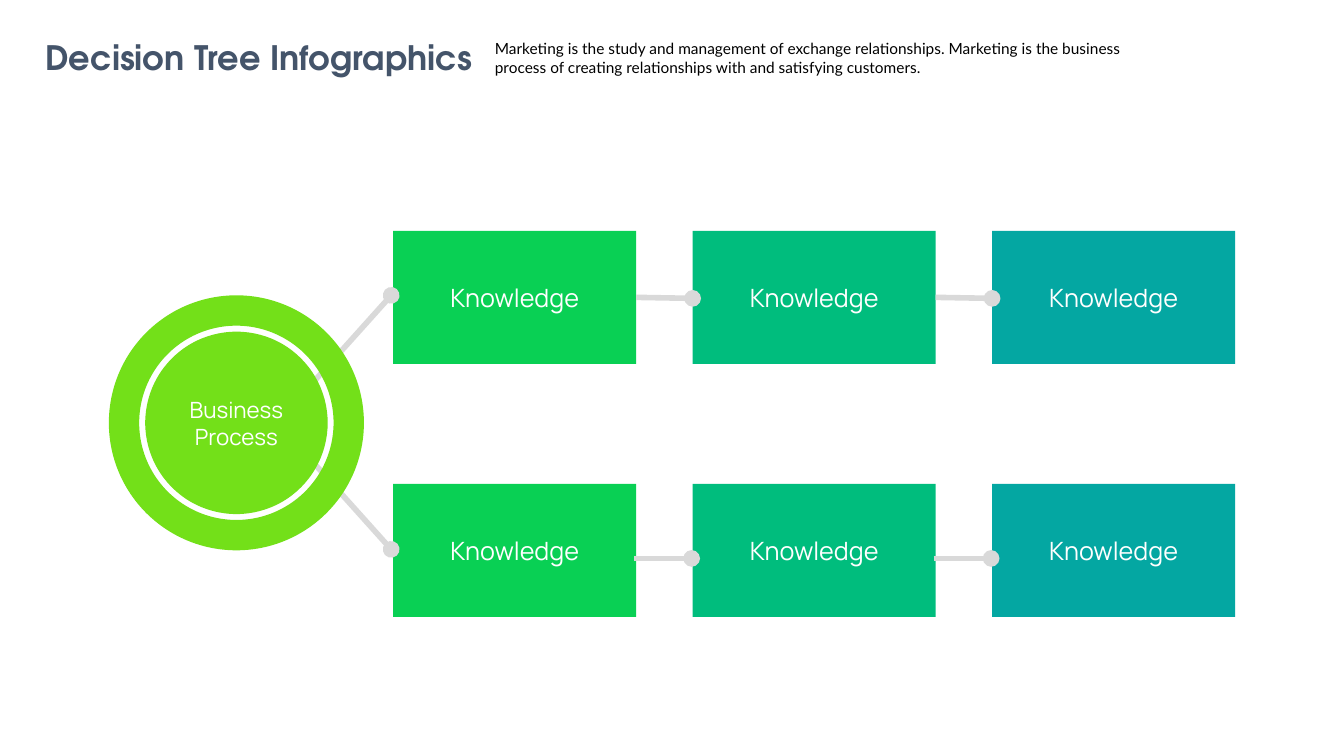
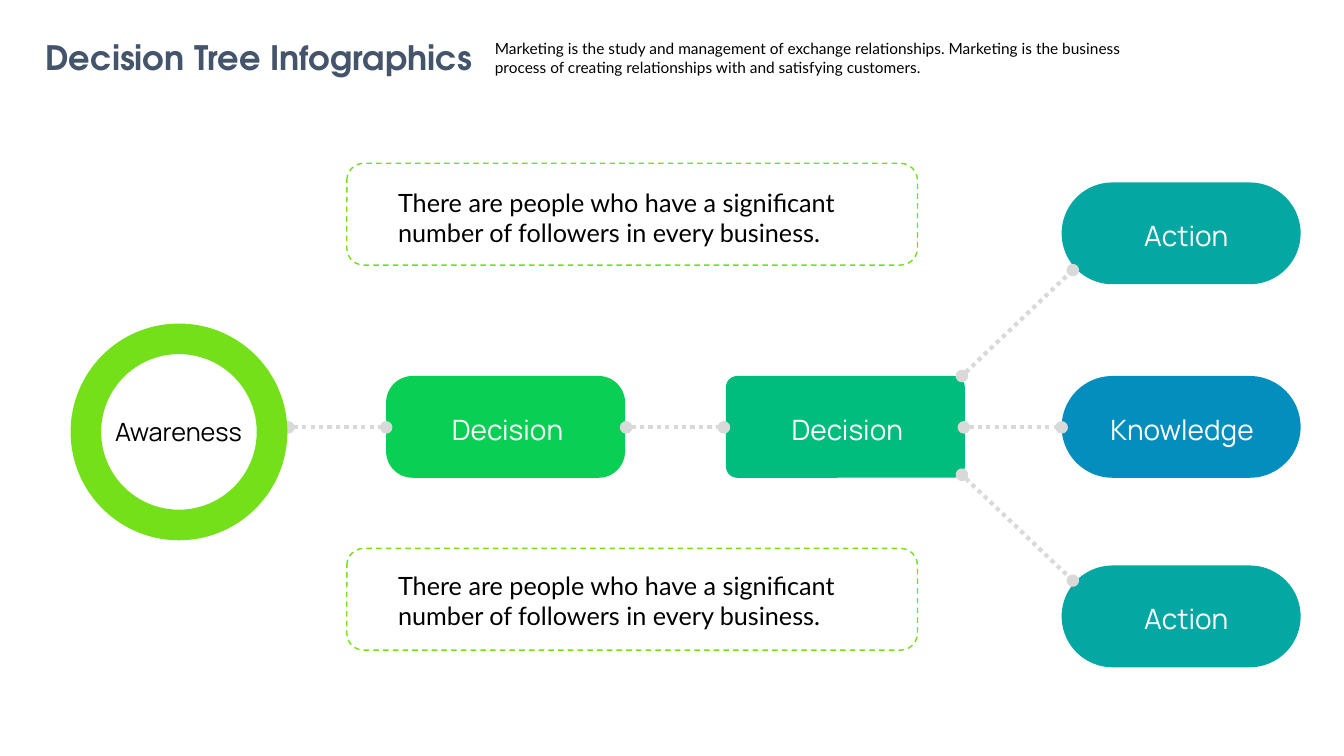
from dataclasses import dataclass

import pptx
import pptx.dml.color
import pptx.enum.dml
import pptx.enum.shapes
import pptx.enum.text
import pptx.oxml.ns
import pptx.util
from lxml import etree

SHAPE = pptx.enum.shapes.MSO_SHAPE
ALIGN = pptx.enum.text.PP_ALIGN
DASH = pptx.enum.dml.MSO_LINE
EMU_PER_PX = 9144  # 100 px to the inch


@dataclass(frozen=True)
class Theme:
    title: str = "44546A"
    ink: str = "000000"
    white: str = "FFFFFF"
    link: str = "D9D9D9"
    lime: str = "73E019"
    green: str = "09D054"
    emerald: str = "00BD7D"
    teal: str = "04A7A2"
    blue: str = "048EBD"
    title_font: str = "TeX Gyre Adventor"
    label_font: str = "Manrope"
    body_font: str = "Lato"
    title_size: int = 24
    intro_size: int = 11
    hub_size: int = 16
    body_size: int = 18
    node_size: int = 20


THEME = Theme()
TITLE = "Decision Tree Infographics"
INTRO = ("Marketing is the study and management of exchange relationships. "
         "Marketing is the business process of creating relationships with "
         "and satisfying customers.")
NOTE = "There are people who have a significant number of followers in every business."


def px(*lengths):
    return [pptx.util.Emu(length * EMU_PER_PX) for length in lengths]


def rgb(value):
    return pptx.dml.color.RGBColor.from_string(value)


def write(frame, text, *, font=THEME.label_font, size=THEME.body_size,
          color=THEME.white, bold=False, align=ALIGN.CENTER):
    para = frame.paragraphs[0]
    para.alignment = align
    span = para.add_run()
    span.text = text
    span.font.name = font
    span.font.size = pptx.util.Pt(size)
    span.font.bold = bold
    span.font.color.rgb = rgb(color)


def add_text(page, bounds, text, *, wrap=True, **style):
    frame = page.shapes.add_textbox(*px(*bounds)).text_frame
    frame.word_wrap = wrap
    frame.auto_size = pptx.enum.text.MSO_AUTO_SIZE.SHAPE_TO_FIT_TEXT
    write(frame, text, **style)


def add_box(page, kind, bounds, *, fill=None, outline=None, adjust=None):
    """Add a preset shape with either a solid fill or a dashed outline."""
    box = page.shapes.add_shape(kind, *px(*bounds))
    box.shadow.inherit = False
    if adjust is not None:
        box.adjustments[0] = adjust
    if fill:
        box.fill.solid()
        box.fill.fore_color.rgb = rgb(fill)
    else:
        box.fill.background()
    if outline:
        box.line.color.rgb = rgb(outline)
        box.line.width = pptx.util.Pt(1)
        box.line.dash_style = DASH.DASH
    else:
        box.line.fill.background()
    return box


def add_link(page, start, end, *, width, dash=None, ends=("headEnd", "tailEnd")):
    """Join two points with a line that carries round dots at the given ends."""
    link = page.shapes.add_connector(
        pptx.enum.shapes.MSO_CONNECTOR.STRAIGHT, *px(*start, *end))
    link.line.color.rgb = rgb(THEME.link)
    link.line.width = pptx.util.Pt(width)
    if dash:
        link.line.dash_style = dash
    qn = pptx.oxml.ns.qn
    properties = link._element.spPr
    for name in ends:
        etree.SubElement(properties.find(qn("a:ln")), qn(f"a:{name}"), type="oval")
    etree.SubElement(properties, qn("a:effectLst"))


def add_page(deck):
    """Add a blank slide with the shared title and introduction."""
    page = deck.slides.add_slide(deck.slide_layouts[6])
    add_text(page, (32, 32, 449, 50), TITLE, wrap=False, font=THEME.title_font,
             size=THEME.title_size, color=THEME.title, bold=True)
    add_text(page, (481, 34, 660, 47), INTRO, font=THEME.body_font,
             size=THEME.intro_size, color=THEME.ink, align=ALIGN.LEFT)
    return page


def build_process_page(deck):
    page = add_page(deck)
    left, step, width, height = 390, 297, 241, 132
    rows = (229, 480)
    for column, color in enumerate((THEME.green, THEME.emerald, THEME.teal)):
        for top in rows:
            box = add_box(page, SHAPE.RECTANGLE,
                          (left + column * step, top, width, height), fill=color)
            write(box.text_frame, "Knowledge")

    for dot_y in (545, 293):
        add_link(page, (388, dot_y), (275, 419), width=4)
    for start, end in (((631, 295), (687, 296)), ((629, 554), (686, 554))):
        for shift in (0, step):
            add_link(page, (start[0] + shift, start[1]), (end[0] + shift, end[1]),
                     width=4, ends=("tailEnd",))

    hub = add_box(page, SHAPE.OVAL, (144, 329, 181, 181), fill=THEME.lime)
    write(hub.text_frame, "Business Process", size=THEME.hub_size)
    add_box(page, SHAPE.DONUT, (108, 293, 253, 253), fill=THEME.lime, adjust=0.119)


def build_decision_page(deck):
    page = add_page(deck)
    width, height = 237, 101
    upper, middle, lower = 181, 373, 561
    nodes = (
        # text, left, top, label inset, colour, corner
        ("Decision", 383, middle, 24, THEME.green, 0.26),
        ("Decision", 720, middle, 24, THEME.emerald, 0.11),
        ("Knowledge", 1053, middle, 23, THEME.blue, 0.5),
        ("Action", 1053, upper, 27, THEME.teal, 0.5),
        ("Action", 1053, lower, 27, THEME.teal, 0.5),
    )
    for text, left, top, inset, color, corner in nodes:
        add_box(page, SHAPE.ROUNDED_RECTANGLE, (left, top, width, height),
                fill=color, adjust=corner)
        add_text(page, (left + inset, top + 31, 193, 44), text, size=THEME.node_size)

    links = [((x, 424), (x + 97, 424)) for x in (286, 621, 956)]
    links += [((954, 373), (1064, 268)), ((954, 471), (1064, 576))]
    for start, end in links:
        add_link(page, start, end, width=3, dash=DASH.ROUND_DOT)

    add_box(page, SHAPE.DONUT, (70, 321, 215, 215), fill=THEME.lime, adjust=0.141)
    add_text(page, (96, 408, 162, 40), "Awareness", color=THEME.ink)

    for frame_top, text_top in ((162, 181), (544, 561)):
        add_box(page, SHAPE.ROUNDED_RECTANGLE, (344, frame_top, 566, height),
                outline=THEME.lime)
        add_text(page, (385, text_top, 479, 71), NOTE, font=THEME.body_font,
                 color=THEME.ink, align=ALIGN.LEFT)


def main():
    deck = pptx.Presentation()
    deck.slide_width, deck.slide_height = px(1333, 750)
    build_process_page(deck)
    build_decision_page(deck)
    deck.save("out.pptx")


if __name__ == "__main__":
    main()
